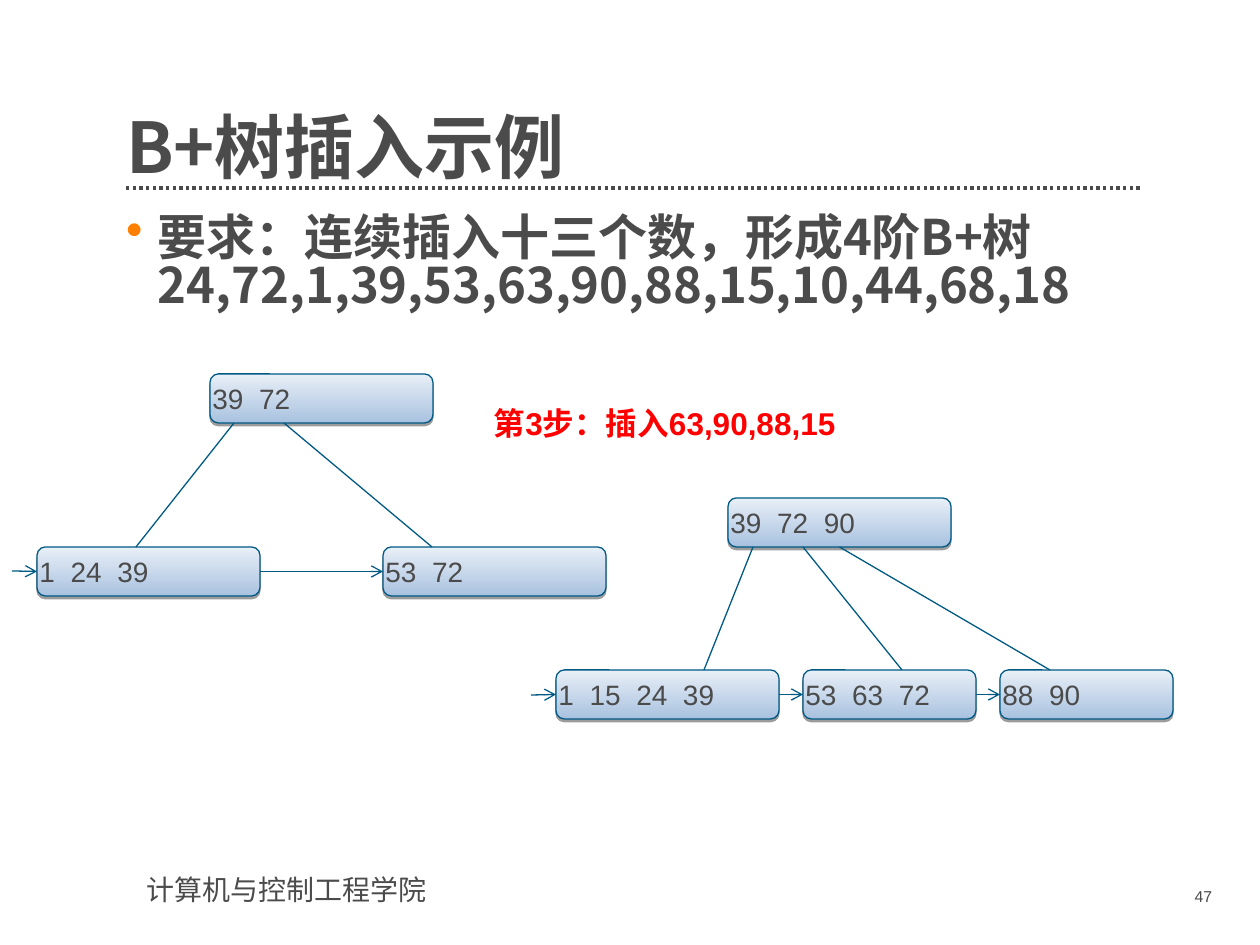
from dataclasses import dataclass

from lxml.etree import SubElement
from pptx import Presentation
from pptx.dml.color import RGBColor
from pptx.enum.dml import MSO_LINE
from pptx.enum.shapes import MSO_CONNECTOR as Link, MSO_SHAPE as Kind
from pptx.enum.text import MSO_ANCHOR as Anchor, PP_ALIGN as Align
from pptx.oxml.ns import qn
from pptx.util import Pt

PX = 914400 / 126
TOP, LEFT, BOTTOM, RIGHT = 0, 1, 2, 3
NODE_H = 49
DIGIT = 15.57  # width of one digit in a node, also the gap between keys
PAD = (13, 6, 13, 6)


@dataclass(frozen=True)
class Theme:
    ink: str = "4B4B4B"
    red: str = "FF0000"
    bullet: str = "FF8000"
    low: str = "A9C2E0"
    high: str = "E8EFF7"
    edge: str = "005984"
    link: str = "005A84"
    sans: str = "Arial"
    han: str = "Noto Sans CJK SC"
    title: int = 40
    body: int = 28
    step: int = 18
    text: int = 16
    page: int = 9


T = Theme()


def px(n):
    return round(n * PX)


def rgb(code):
    return RGBColor.from_string(code)


def add(parent, tag, **attrs):
    return SubElement(parent, qn(tag), attrs)


def style(para, size, face=T.sans, color=T.ink, bold=False):
    font = para.font
    font.size, font.name, font.bold = Pt(size), face, bold
    font.color.rgb = rgb(color)
    add(para._p.pPr.find(qn("a:defRPr")), "a:ea", typeface=T.han)


def inset(frame, pad):
    frame.margin_left, frame.margin_top, frame.margin_right, frame.margin_bottom = map(px, pad)
    frame.word_wrap = True


def label(slide, text, box, size, pad=PAD, **look):
    """Add a text box and return its only paragraph."""
    frame = slide.shapes.add_textbox(*map(px, box)).text_frame
    inset(frame, pad)
    para = frame.paragraphs[0]
    para.text = text
    style(para, size, **look)
    return para


def bullet(para, indent):
    props = para._p.get_or_add_pPr()
    props.set("marL", str(px(indent)))
    props.set("indent", str(-px(indent)))
    mark = props.find(qn("a:defRPr"))
    for tag in ("a:buClr", "a:buChar"):
        item = add(props, tag)
        mark.addprevious(item)
        if tag == "a:buClr":
            add(item, "a:srgbClr", val=T.bullet)
        else:
            item.set("char", "•")


def tabs(para, keys):
    """Set one tab stop at the start of each key after the first."""
    stops = add(para._p.get_or_add_pPr(), "a:tabLst")
    place = 0
    for key in keys[:-1]:
        place += (len(key) + 1) * DIGIT
        add(stops, "a:tab", pos=str(px(place)), algn="l")


def node(slide, x, y, w, keys):
    shape = slide.shapes.add_shape(Kind.ROUNDED_RECTANGLE, *map(px, (x, y, w, NODE_H)))
    shape.adjustments[0] = 0.17
    shape.fill.gradient()
    shape.fill.gradient_angle = 90
    for stop, color in zip(shape.fill.gradient_stops, (T.low, T.high)):
        stop.color.rgb = rgb(color)
    shape.line.color.rgb = rgb(T.edge)
    shape.line.width = Pt(0.75)
    shape.shadow.inherit = False
    shade = add(shape._element.spPr.find(qn("a:effectLst")), "a:outerShdw", blurRad="0",
                dist=str(Pt(1.6)), dir="5400000", algn="ctr", rotWithShape="0")
    add(add(shade, "a:srgbClr", val="000000"), "a:alpha", val="38000")
    frame = shape.text_frame
    inset(frame, (0, 0, 25, 0))
    frame.vertical_anchor = Anchor.MIDDLE
    para = frame.paragraphs[0]
    para.text = "\t".join(keys)
    para.alignment = Align.LEFT
    tabs(para, keys)
    style(para, T.text)
    return shape


def line(slide, start, end, color=T.link, width=0.75):
    link = slide.shapes.add_connector(Link.STRAIGHT, *map(px, start + end))
    link.line.color.rgb = rgb(color)
    link.line.width = Pt(width)
    add(link._element.spPr, "a:effectLst")
    return link


def arrow(slide, target, source=None):
    """Point at a leaf from the leaf before it, or from a short way to its left."""
    y = round((target.top + target.height / 2) / PX)
    x = round(target.left / PX)
    link = line(slide, (x - 25, y), (x, y))
    if source is not None:
        link.begin_connect(source, RIGHT)
    link.end_connect(target, LEFT)
    add(link.line._get_or_add_ln(), "a:tailEnd", type="arrow")


def tree(slide, root, leaves, edges):
    """Draw chained leaves under a root; edges are pairs of upper and lower x."""
    prior = None
    for leaf in leaves:
        shape = node(slide, *leaf)
        arrow(slide, shape, prior)
        prior = shape
    top = node(slide, *root)
    x, y, w, _ = root
    for upper, lower in edges:
        link = line(slide, (upper, y + NODE_H), (lower, leaves[0][1]))
        if abs(upper - x - w / 2) < 1:
            link.begin_connect(top, BOTTOM)


def main():
    deck = Presentation()
    deck.slide_width, deck.slide_height = px(1260), px(945)
    slide = deck.slides.add_slide(deck.slide_layouts[6])

    rule = line(slide, (126, 188), (1142, 188), T.ink, 1.9)
    rule.line.dash_style = MSO_LINE.ROUND_DOT
    label(slide, "计算机与控制工程学院", (134, 867, 348, 46), T.text)

    title = label(slide, "B+树插入示例", (126, 69, 1016, 120), T.title, (0, 0, 0, 0),
                  face=T.han, bold=True)
    title.line_spacing = 0.9
    slide.shapes[-1].text_frame.vertical_anchor = Anchor.BOTTOM

    task = label(slide, "要求：连续插入十三个数，形成4阶B+树24,72,1,39,53,63,90,88,15,10,44,68,18",
                 (126, 210, 1016, 630), T.body, (0, 7, 25, 0), face=T.han, bold=True)
    task.line_spacing = 0.82
    bullet(task, 32)

    page = label(slide, "47", (1100, 881, 125, 36), T.page)
    page.alignment = Align.RIGHT
    label(slide, "第3步：插入63,90,88,15", (481, 398, 470, 50), T.step, color=T.red, bold=True)

    tree(slide, (210, 374, 223, ("39", "72")),
         [(37, 547, 223, ("1", "24", "39")), (383, 547, 223, ("53", "72"))],
         [(234, 136), (284, 432)])
    tree(slide, (728, 498, 223, ("39", "72", "90")),
         [(556, 670, 223, ("1", "15", "24", "39")), (803, 670, 173, ("53", "63", "72")),
          (1000, 670, 173, ("88", "90"))],
         [(753, 704), (803, 902), (840, 1050)])
    deck.save("out.pptx")


if __name__ == "__main__":
    main()
